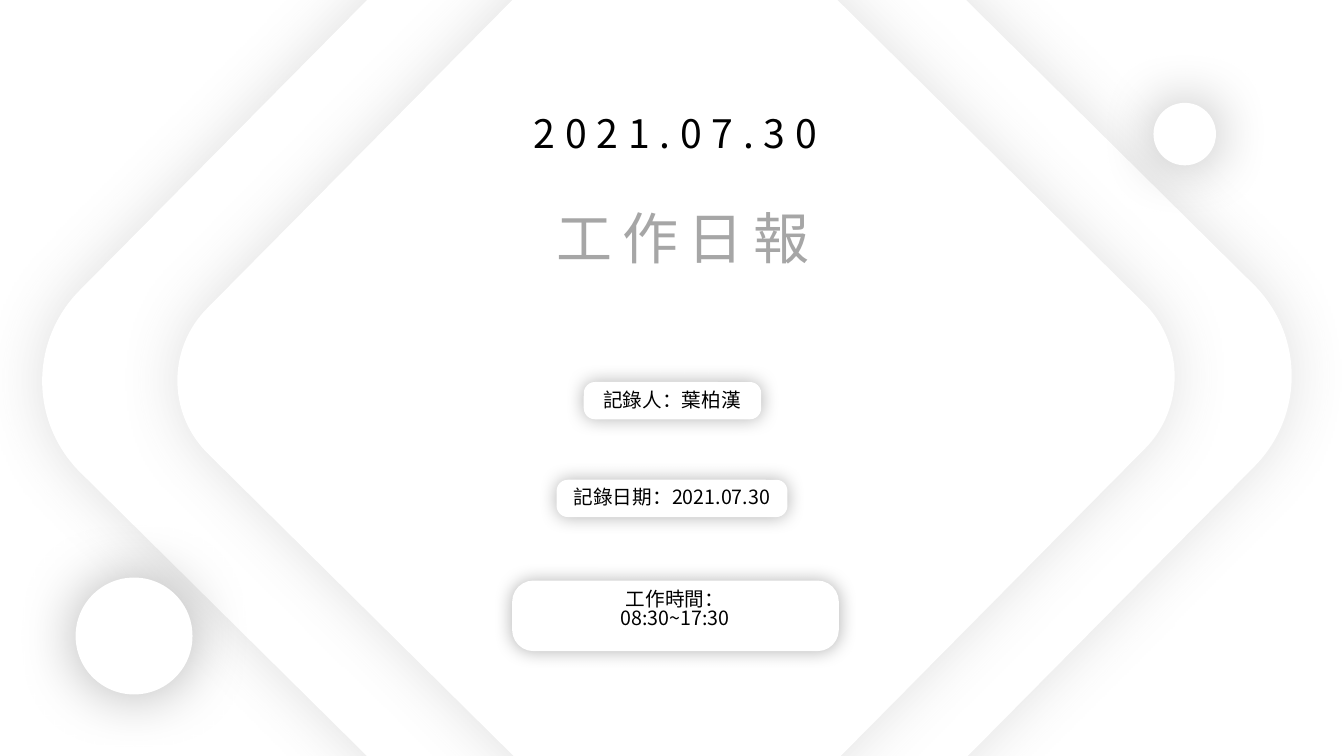
import pptx
import pptx.util
import pptx.dml.color
import pptx.enum.shapes
import pptx.enum.text
import pptx.oxml
import pptx.oxml.ns

Inches = pptx.util.Inches
Pt = pptx.util.Pt
Shape = pptx.enum.shapes.MSO_SHAPE

COLORS = {"white": "FFFFFF", "black": "000000", "gray": "A6A6A6", "shade": "595959"}
FONT = "Noto Sans CJK SC"


def color(name):
    return pptx.dml.color.RGBColor.from_string(COLORS[name])


def apply(target, values):
    for name, value in values.items():
        setattr(target, name, value)


class ReportSlide:
    def __init__(self, presentation):
        self.slide = presentation.slides.add_slide(presentation.slide_layouts[0])
        self.slide.background.fill.solid()
        self.slide.background.fill.fore_color.rgb = color("white")

    def panel(self, shapes, kind, box, shadow, corner=None, rotation=0):
        shape = shapes.add_shape(kind, *map(Inches, box))
        shape.rotation = rotation
        if corner is not None:
            shape.adjustments[0] = corner
        shape.fill.solid()
        shape.fill.fore_color.rgb = color("white")
        shape.line.fill.background()
        shade, opacity, blur = shadow
        shape.element.spPr.append(pptx.oxml.parse_xml(
            f'<a:effectLst {pptx.oxml.ns.nsdecls("a")}>'
            f'<a:outerShdw blurRad="{Pt(blur)}" dist="0" dir="0" algn="ctr" rotWithShape="0">'
            f'<a:srgbClr val="{COLORS[shade]}"><a:alpha val="{opacity * 1000}"/></a:srgbClr>'
            '</a:outerShdw></a:effectLst>'))

    def label(self, shape, lines, size, shade="black", spacing=0):
        frame = shape.text_frame
        frame.text = "\n".join(lines)
        apply(frame, {
            "word_wrap": True,
            "auto_size": pptx.enum.text.MSO_AUTO_SIZE.SHAPE_TO_FIT_TEXT,
            "vertical_anchor": pptx.enum.text.MSO_ANCHOR.TOP,
            "margin_top": Inches(0.05 + size / 500),
            "margin_bottom": 0,
        })
        for paragraph in frame.paragraphs:
            apply(paragraph, {
                "alignment": pptx.enum.text.PP_ALIGN.CENTER,
                "line_spacing": 0.81,
                "space_before": Pt(0),
            })
            for run in paragraph.runs:
                apply(run.font, {"size": Pt(size), "name": FONT})
                run.font.color.rgb = color(shade)
                properties = run.font._element
                properties.set("spc", str(spacing * 100))
                properties.append(pptx.oxml.parse_xml(
                    f'<a:ea {pptx.oxml.ns.nsdecls("a")} typeface="{FONT}"/>'))

    def heading(self, index, box, text, size, shade):
        shape = self.slide.placeholders[index]
        apply(shape, dict(zip(("left", "top", "width", "height"), map(Inches, box))))
        shape.element.getparent().append(shape.element)
        self.label(shape, [text], size, shade, 7)

    def badge(self, panel_box, text_box, lines):
        group = self.slide.shapes.add_group_shape()
        self.panel(group.shapes, Shape.ROUNDED_RECTANGLE, panel_box, ("black", 30, 13), 0.302)
        self.label(group.shapes.add_textbox(*map(Inches, text_box)), lines, 14)


def main():
    presentation = pptx.Presentation()
    apply(presentation, {"slide_width": Inches(13.33), "slide_height": Inches(7.5)})
    report = ReportSlide(presentation)
    shapes = report.slide.shapes
    for left, top, side in ((1.86, -1, 9.51), (2.91, -0.04, 7.59)):
        report.panel(shapes, Shape.ROUNDED_RECTANGLE, (left, top, side, side),
                     ("shade", 19, 43), 0.134, 44.7)
    report.heading(1, (3.06, 1.06, 7.28, 0.57), "2021.07.30", 28, "black")
    report.heading(0, (4.4, 2.01, 4.75, 0.77), "工作日報", 40, "gray")
    for left, top, side in ((0.75, 5.73, 1.16), (11.44, 1.02, 0.62)):
        report.panel(shapes, Shape.OVAL, (left, top, side, side), ("black", 30, 43))
    for panel_box, text_box, lines in (
        ((5.79, 3.79, 1.76, 0.37), (5.62, 3.81, 2.09, 0.34), ["記錄人：葉柏漢"]),
        ((5.52, 4.76, 2.29, 0.37), (5.46, 4.78, 2.41, 0.34), ["記錄日期：2021.07.30"]),
        ((5.08, 5.76, 3.24, 0.7), (4.99, 5.79, 3.41, 0.57), ["工作時間：", "08:30~17:30"]),
    ):
        report.badge(panel_box, text_box, lines)
    presentation.save("out.pptx")


if __name__ == "__main__":
    main()
